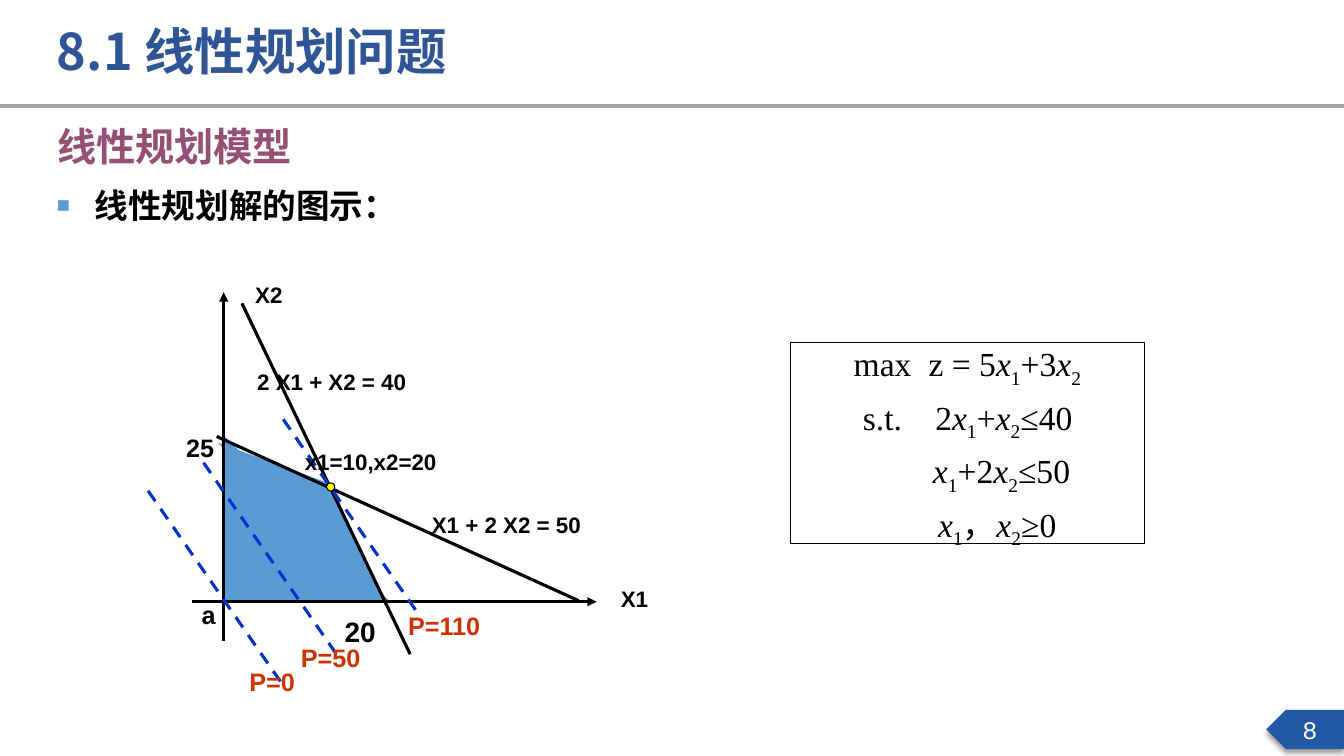
from dataclasses import dataclass

from lxml.etree import SubElement
from pptx import Presentation
from pptx.dml.color import RGBColor
from pptx.enum.dml import MSO_LINE
from pptx.enum.shapes import MSO_CONNECTOR, MSO_SHAPE
from pptx.enum.text import MSO_ANCHOR, PP_ALIGN
from pptx.oxml.ns import qn
from pptx.util import Pt

CJK = "Noto Sans CJK SC"
BLACK, REGION, PROFIT, DASH = "000000", "5B9BD5", "CC3300", "0033CC"


@dataclass
class Label:
    text: str
    left: float
    top: float
    width: float
    size: float = 16
    color: str = BLACK
    wrap: bool = True


@dataclass
class Stroke:
    start: tuple[float, float]
    end: tuple[float, float]
    color: str = BLACK
    width: float = 2.25
    dashed: bool = False
    arrow: bool = False


@dataclass
class Block:
    kind: MSO_SHAPE
    box: tuple[float, float, float, float]
    fill: str | None = REGION
    line: str | None = None
    line_width: float = 0.75
    rotation: float = 0


@dataclass
class Formula:
    runs: list[tuple[str, str]]  # text and style: "", "i" or "sub"
    margin: float
    hanging: float = 0


def rgb(value: str) -> RGBColor:
    return RGBColor.from_string(value)


def add_run(paragraph, text: str, size: float, color: str, face: str = "Arial", bold: bool = True):
    run = paragraph.add_run()
    run.text = text
    font = run.font
    font.size, font.bold, font.name = Pt(size), bold, face
    font.color.rgb = rgb(color)
    if face == CJK:
        SubElement(font._element, qn("a:ea"), typeface=face)
    return run


def add_text(slide, label: Label, height: float, face: str = "Arial"):
    frame = slide.shapes.add_textbox(
        Pt(label.left), Pt(label.top), Pt(label.width), Pt(height)).text_frame
    frame.word_wrap = label.wrap
    paragraph = frame.paragraphs[0]
    add_run(paragraph, label.text, label.size, label.color, face)
    return paragraph


def add_stroke(slide, stroke: Stroke) -> None:
    connector = slide.shapes.add_connector(
        MSO_CONNECTOR.STRAIGHT, *map(Pt, stroke.start + stroke.end))
    line = connector.line
    line.color.rgb = rgb(stroke.color)
    line.width = Pt(stroke.width)
    if stroke.dashed:
        line.dash_style = MSO_LINE.DASH
    if stroke.arrow:
        SubElement(line._get_or_add_ln(), qn("a:tailEnd"), type="triangle")
    SubElement(connector._element.spPr, qn("a:effectLst"))


def add_block(slide, block: Block):
    shape = slide.shapes.add_shape(block.kind, *map(Pt, block.box))
    shape.shadow.inherit = False
    shape.rotation = block.rotation
    if block.fill:
        shape.fill.solid()
        shape.fill.fore_color.rgb = rgb(block.fill)
    else:
        shape.fill.background()
    if block.line:
        shape.line.color.rgb = rgb(block.line)
        shape.line.width = Pt(block.line_width)
    else:
        shape.line.fill.background()
    return shape


def add_heading(slide) -> None:
    title = slide.shapes.title
    title.left, title.top, title.width, title.height = map(Pt, (33.5, 10.8, 451.4, 41.8))
    frame = title.text_frame
    frame.vertical_anchor = MSO_ANCHOR.TOP
    paragraph = frame.paragraphs[0]
    paragraph.alignment = PP_ALIGN.LEFT
    add_run(paragraph, "8.1 线性规划问题", 36, "2F5597", CJK)

    add_text(slide, Label("线性规划模型", 33.8, 83.5, 612, 28, "954F72"), 51.8, CJK)

    bullet = add_text(slide, Label("线性规划解的图示：", 33.5, 128.2, 276, 24), 42, CJK)
    props = bullet._p.get_or_add_pPr()
    props.set("marL", str(Pt(27)))
    props.set("indent", str(-Pt(27)))
    SubElement(SubElement(props, qn("a:buClr")), qn("a:srgbClr"), val=REGION)
    SubElement(props, qn("a:buSzPct"), val="65000")
    SubElement(props, qn("a:buFont"), typeface="Arial")
    SubElement(props, qn("a:buChar"), char="■")


def add_page_number(slide) -> None:
    tag = add_block(slide, Block(MSO_SHAPE.PENTAGON, (904.5, 507, 55.4, 28.1), "2159A5"))
    shape_props = tag._element.spPr
    shape_props.find(qn("a:xfrm")).set("flipH", "1")
    shadow = SubElement(shape_props.find(qn("a:effectLst")), qn("a:outerShdw"),
                        blurRad=str(Pt(4)), dist=str(Pt(3)), dir="5400000", rotWithShape="0")
    tint = SubElement(shadow, qn("a:srgbClr"), val=BLACK)
    SubElement(tint, qn("a:alpha"), val="40000")
    tag.text_frame.vertical_anchor = MSO_ANCHOR.MIDDLE
    paragraph = tag.text_frame.paragraphs[0]
    paragraph.alignment = PP_ALIGN.CENTER
    add_run(paragraph, "8", 18, "FFFFFF", "Courier New", False)


def add_model(slide, formulas: list[Formula]) -> None:
    frame = add_block(slide, Block(
        MSO_SHAPE.RECTANGLE, (564.5, 244.8, 253, 143.5), None, BLACK, 0.75)).text_frame
    frame.vertical_anchor = MSO_ANCHOR.TOP
    frame.margin_top = Pt(3.4)
    for index, formula in enumerate(formulas):
        paragraph = frame.add_paragraph() if index else frame.paragraphs[0]
        paragraph.alignment, paragraph.line_spacing = PP_ALIGN.LEFT, 0.8
        if index:
            paragraph.space_before = Pt(12)
        props = paragraph._p.get_or_add_pPr()
        props.set("marL", str(Pt(formula.margin)))
        props.set("indent", str(-Pt(formula.hanging)))
        for text, style in formula.runs:
            font = add_run(paragraph, text, 24, BLACK, "Times New Roman", False).font
            font.italic = style == "i"
            if style == "sub":
                font._element.set("baseline", "-25000")


X1, X2 = [("x", "i"), ("1", "sub")], [("x", "i"), ("2", "sub")]
MODEL = [
    Formula([("max\tz = 5", ""), *X1, ("+3", ""), *X2], 91.7, 53.5),
    Formula([("s.t.\t2", ""), *X1, ("+", ""), *X2, ("≤40", "")], 96.5, 51.8),
    Formula([*X1, ("+2", ""), *X2, ("≤50", "")], 94.8),
    Formula([*X1, ("，", ""), *X2, ("≥0", "")], 98.5),
]
FEASIBLE_REGION = [
    Block(MSO_SHAPE.RIGHT_TRIANGLE, (159.8, 311, 118.8, 118.8)),
    Block(MSO_SHAPE.ISOSCELES_TRIANGLE, (145.4, 341.3, 159.1, 33.1), rotation=42.7),
    Block(MSO_SHAPE.RECTANGLE, (225.4, 371.5, 23, 51.1), rotation=327),
]
AXES_AND_CONSTRAINTS = [
    Stroke((159.8, 311), (159.8, 429.8), width=0.75),
    Stroke((154.8, 311.8), (413.3, 429.1)),
    Stroke((172.8, 216.7), (293, 467.3)),
    Stroke((136.8, 429.8), (426.2, 429.8), arrow=True),
    Stroke((159.8, 457.9), (159.8, 208.8), arrow=True),
]
PROFIT_LINES = [
    Stroke((x, y), (x + 96.5, y + 139), DASH, dashed=True)
    for x, y in [(145.4, 330.5), (105.8, 350.6), (202.3, 299.5)]
]
LABELS = [
    Label("2 X1 + X2 = 40", 176.6, 259.4, 121.7, wrap=False),
    Label("X1 + 2 X2 = 50", 301.4, 361.7, 121.7, wrap=False),
    Label("X1", 436.4, 414.7, 33.8, wrap=False),
    Label("X2", 175.2, 197.3, 33.8, wrap=False),
    Label("a", 137, 424.6, 33.8, 18),
    Label("20", 239, 435.6, 39.6, 20),
    Label("x1=10,x2=20", 210.6, 316.8, 136.1),
    Label("25", 125.8, 305.3, 45.4, 18),
    Label("P=0", 171, 472.3, 54, 18, PROFIT),
    Label("P=50", 207.8, 455, 70.6, 18, PROFIT),
    Label("P=110", 284.4, 432.7, 70.6, 18, PROFIT),
]


def main() -> None:
    deck = Presentation()
    deck.slide_width, deck.slide_height = Pt(960), Pt(540)
    slide = deck.slides.add_slide(deck.slide_layouts[5])

    # Page frame and headings
    add_stroke(slide, Stroke((0, 75.6), (960, 75.6), "A5A5A5", 3))
    add_page_number(slide)
    add_heading(slide)

    # Model formulas
    add_model(slide, MODEL)

    # Graphical solution
    for part in FEASIBLE_REGION:
        add_block(slide, part)
    for stroke in AXES_AND_CONSTRAINTS + PROFIT_LINES:
        add_stroke(slide, stroke)
    for label in LABELS:
        add_text(slide, label, label.size * 1.2 + 7.2)
    add_block(slide, Block(MSO_SHAPE.OVAL, (233.3, 344.9, 5.8, 5.8), "FFFF00", BLACK))

    deck.save("out.pptx")


if __name__ == "__main__":
    main()
